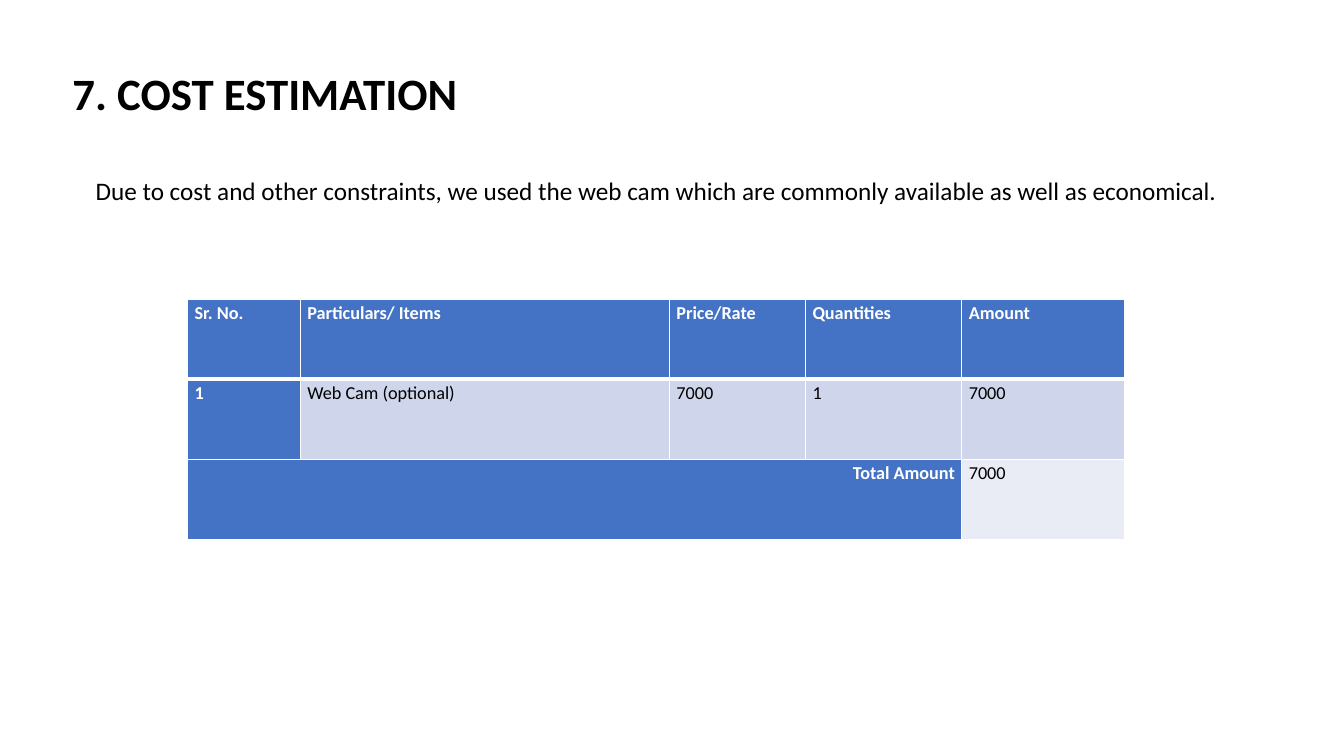
from dataclasses import dataclass
from typing import NamedTuple

from lxml import etree
from pptx import Presentation
from pptx import util as u
from pptx.dml.color import RGBColor
from pptx.enum import text
from pptx.oxml import ns


@dataclass(frozen=True)
class Theme:
    font: str = "Calibri"
    ink: str = "000000"
    paper: str = "FFFFFF"
    accent: str = "4472C4"
    band_dark: str = "CFD5EA"
    band_light: str = "E9EBF5"
    title_size: int = 32
    body_size: int = 18
    table_size: int = 13
    line_spacing: float = 1.15
    border: int = 1
    header_border: int = 3


class Area(NamedTuple):
    """Left, top, width and height in percent of the slide."""
    left: float
    top: float
    width: float
    height: float


class Entry(NamedTuple):
    words: str
    fill: str
    strong: bool = False
    span: int = 1
    align: text.PP_ALIGN = text.PP_ALIGN.LEFT


THEME = Theme()
SLIDE_WIDTH, SLIDE_HEIGHT = u.Inches(13.33), u.Inches(7.5)


def across(share: float) -> u.Emu:
    return u.Emu(round(SLIDE_WIDTH * share / 100))


def down(share: float) -> u.Emu:
    return u.Emu(round(SLIDE_HEIGHT * share / 100))


def place(area: Area) -> tuple[u.Emu, ...]:
    return across(area.left), down(area.top), across(area.width), down(area.height)


def add_words(paragraph, words: str, size: int, color: str, bold: bool) -> None:
    run = paragraph.add_run()
    run.text = words
    run.font.name = THEME.font
    run.font.size = u.Pt(size)
    run.font.bold = bold
    run.font.color.rgb = RGBColor.from_string(color)


def add_statement(area: Area, words: str, size: int, bold: bool,
                  align: text.PP_ALIGN) -> None:
    frame = slide.shapes.add_textbox(*place(area)).text_frame
    frame.word_wrap = True
    paragraph = frame.paragraphs[0]
    paragraph.alignment = align
    add_words(paragraph, words, size, THEME.ink, bold)


def add_borders(cell, bottom: int, top: int) -> None:
    widths = {"L": THEME.border, "R": THEME.border, "T": top, "B": bottom}
    properties = cell._tc.get_or_add_tcPr()
    for side, width in widths.items():
        line = etree.SubElement(properties, ns.qn(f"a:ln{side}"), w=str(u.Pt(width)))
        fill = etree.SubElement(line, ns.qn("a:solidFill"))
        etree.SubElement(fill, ns.qn("a:srgbClr"), val=THEME.paper)


def fill_cell(cell, entry: Entry) -> None:
    cell.fill.solid()
    cell.fill.fore_color.rgb = RGBColor.from_string(entry.fill)
    cell.margin_left = cell.margin_right = u.Inches(0.07)
    cell.margin_top = cell.margin_bottom = 0
    paragraph = cell.text_frame.paragraphs[0]
    paragraph.alignment = entry.align
    paragraph.line_spacing = THEME.line_spacing
    color = THEME.paper if entry.strong else THEME.ink
    add_words(paragraph, entry.words, THEME.table_size, color, entry.strong)


def add_cost_table(area: Area, columns: list[float], rows: list[list[Entry]]) -> None:
    costs = slide.shapes.add_table(len(rows), len(columns), *place(area)).table
    for column, share in zip(costs.columns, columns):
        column.width = across(share)
    for r, entries in enumerate(rows):
        costs.rows[r].height = down(area.height / len(rows))
        for c in range(len(columns)):
            add_borders(costs.cell(r, c),
                        bottom=THEME.header_border if r == 0 else THEME.border,
                        top=THEME.header_border if r == 1 else THEME.border)
        c = 0
        for entry in entries:
            cell = costs.cell(r, c)
            if entry.span > 1:
                cell.merge(costs.cell(r, c + entry.span - 1))
            fill_cell(cell, entry)
            c += entry.span


presentation = Presentation()
presentation.slide_width, presentation.slide_height = SLIDE_WIDTH, SLIDE_HEIGHT
slide = presentation.slides.add_slide(presentation.slide_layouts[6])

# Heading and explanation
add_statement(Area(4.65, 8, 31.96, 12.53), "7. COST ESTIMATION",
              THEME.title_size, True, text.PP_ALIGN.LEFT)
add_statement(Area(6.38, 22.53, 86.35, 9.47),
              "Due to cost and other constraints, we used the web cam which are "
              "commonly available as well as economical.",
              THEME.body_size, False, text.PP_ALIGN.JUSTIFY)

# Cost table: header, item and total
headings = ["Sr. No.", "Particulars/ Items", "Price/Rate", "Quantities", "Amount"]
webcam = ["Web Cam (optional)", "7000", "1", "7000"]
cost_rows = [
    [Entry(heading, THEME.accent, True) for heading in headings],
    [Entry("1", THEME.accent, True)] + [Entry(v, THEME.band_dark) for v in webcam],
    [Entry("Total Amount", THEME.accent, True, 4, text.PP_ALIGN.RIGHT),
     Entry("7000", THEME.band_light)],
]
add_cost_table(Area(13.95, 39.6, 69.7, 31.73),
               [8.4, 27.46, 10.13, 11.63, 12.08], cost_rows)

presentation.save("out.pptx")
